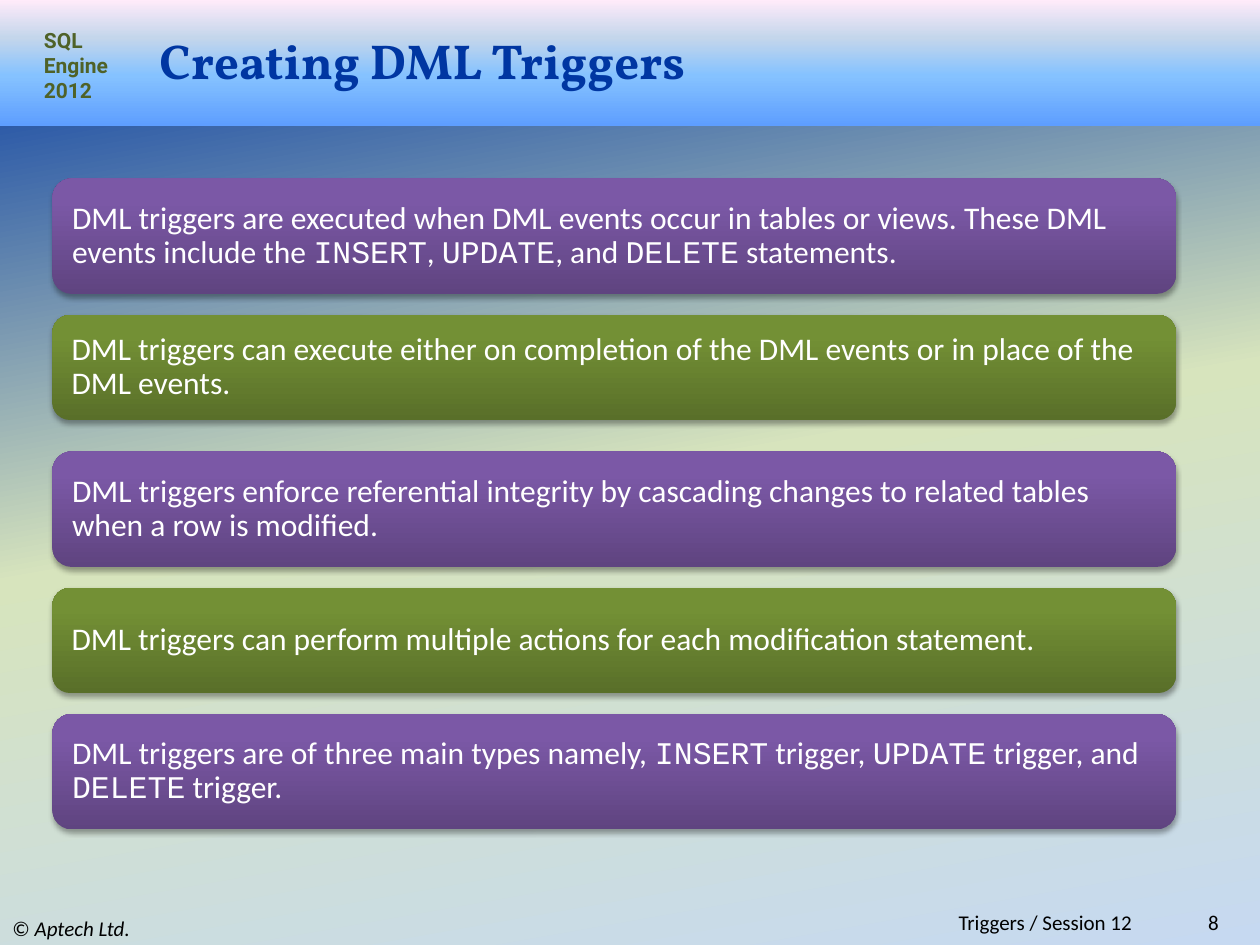
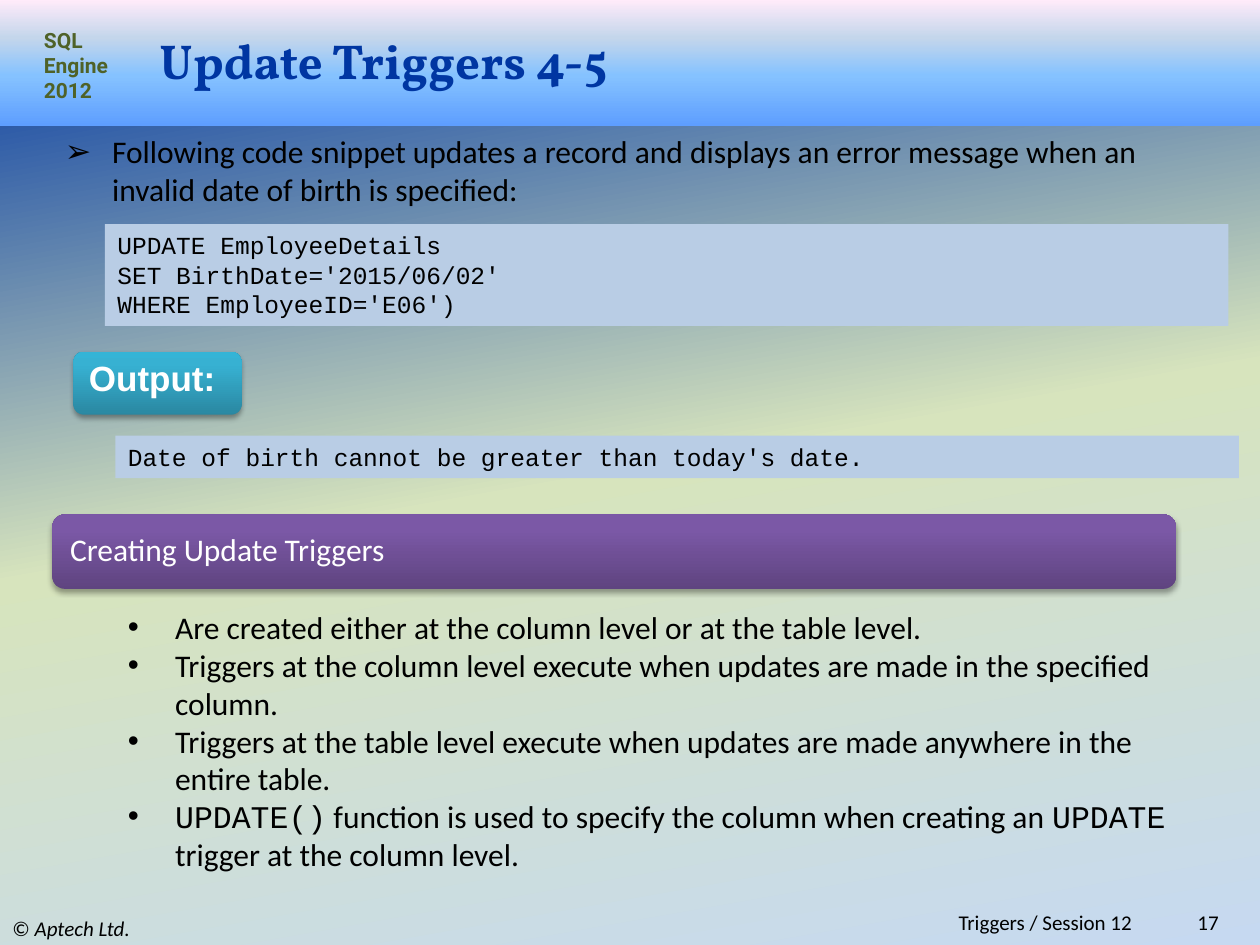
import pptx
import pptx.util
import pptx.dml.color
import pptx.enum.shapes
import pptx.enum.text
import pptx.oxml
import pptx.oxml.ns
from lxml import etree

Pt = pptx.util.Pt
qn = pptx.oxml.ns.qn
SHAPES = pptx.enum.shapes.MSO_SHAPE
ANCHOR = pptx.enum.text.MSO_ANCHOR
ALIGN = pptx.enum.text.PP_ALIGN

# Content: text between backticks takes the alternate run format
COURSE = "SQL Engine 2012"
OWNER = "© `Aptech Ltd.`"
SESSION = "Triggers / Session 12"

CREATING = {
    "title": "Creating DML Triggers",
    "number": "8",
    "cards": [  # top, colour, text
        (102, "purple", "DML triggers are executed when DML events occur in tables or views. "
                        "These DML events include the `INSERT`, `UPDATE`, and `DELETE` statements."),
        (180, "green", "DML triggers can execute either on completion of the DML events "
                       "or in place of the DML events."),
        (258, "purple", "DML triggers enforce referential integrity by cascading changes "
                        "to related tables when a row is modified."),
        (336, "green", "DML triggers can perform multiple actions for each modification statement."),
        (408, "purple", "DML triggers are of three main types namely, `INSERT` trigger, "
                        "`UPDATE` trigger, and `DELETE` trigger."),
    ],
}
UPDATING = {
    "title": "Update Triggers 4-5",
    "number": "17",
    "intro": "Following code snippet updates a record and displays an error message "
             "when an invalid date of birth is specified:",
    "code": ["UPDATE EmployeeDetails", "SET BirthDate='2015/06/02'", "WHERE EmployeeID='E06')"],
    "label": "Output:",
    "output": ["Date of birth cannot be greater than today's date."],
    "heading": "Creating Update Triggers",
    "points": [
        "Are created either at the column level or at the table level.",
        "Triggers at the column level execute when updates are made in the specified column.",
        "Triggers at the table level execute when updates are made anywhere in the entire table.",
        "`UPDATE()` function is used to specify the column when creating an `UPDATE` "
        "trigger at the column level.",
    ],
}

# Shared look
WIDTH, HEIGHT = 720, 540
BAND_HEIGHT = 72
CARD_LEFT, CARD_WIDTH = 30, 642
CARD_HEIGHTS = {"purple": 66, "green": 60}
BLUE, BLACK, WHITE, OLIVE, CODE_FILL = "0036A2", "000000", "FFFFFF", "4F6228", "B9CDE5"
BODY, MONO = "Calibri", "Courier New"
BACKDROP = [(0, BLUE), (50, "D7E4BD"), (100, "C6D9F1")]
BAND = [(0, "5E9EFF"), (40, "85C2FF"), (70, "C4D6EB"), (100, "FFEBFA")]
GLOSS = {
    "purple": [(0, "5F4480"), (80, "7B58A6"), (100, "7C57A8")],
    "green": [(0, "596F29"), (80, "739035"), (100, "749334")],
    "teal": [(0, "2A88A2"), (80, "37B1D2"), (100, "34B4D6")],
}


def colour(value):
    return pptx.dml.color.RGBColor.from_string(value)


def add_gradient(owner, fill, stops, angle=90):
    fill.gradient()
    fill.gradient_angle = angle
    stop_list = next(owner.iter(qn("a:gsLst")))
    for stop in list(stop_list):
        stop_list.remove(stop)
    for position, value in stops:
        stop = etree.SubElement(stop_list, qn("a:gs"), pos=str(position * 1000))
        etree.SubElement(stop, qn("a:srgbClr"), val=value)


def add_bullet(para, mark, margin, hanging=27):
    properties = para._p.get_or_add_pPr()
    properties.set("marL", str(Pt(margin)))
    properties.set("indent", str(-Pt(hanging)))
    etree.SubElement(properties, qn("a:buFont"), typeface="Arial")
    etree.SubElement(properties, qn("a:buChar"), char=mark)


def write(box, lines, size=18, font=BODY, ink=BLACK, bold=False, alternate=MONO,
          align=ALIGN.LEFT, anchor=ANCHOR.TOP, spacing=None, bullet=None, margin=0):
    """Fill a box with lines; alternate is a font name or "italic"."""
    frame = box.text_frame
    frame.word_wrap = True
    frame.vertical_anchor = anchor
    for index, line in enumerate([lines] if isinstance(lines, str) else lines):
        para = frame.add_paragraph() if index else frame.paragraphs[0]
        if bullet:
            add_bullet(para, bullet, margin)
        para.alignment = align
        if spacing:
            para.line_spacing = spacing
        for part, piece in enumerate(line.split("`")):
            if not piece:
                continue
            marked = part % 2 == 1
            italic = marked and alternate == "italic"
            span = para.add_run()
            span.text = piece
            span.font.size = Pt(size)
            span.font.name = alternate if marked and not italic else font
            span.font.bold = bold
            span.font.italic = italic
            span.font.color.rgb = colour(ink)


def add_text(page, left, top, width, height, lines, **style):
    box = page.shapes.add_textbox(Pt(left), Pt(top), Pt(width), Pt(height))
    write(box, lines, **style)


def add_box(page, kind, left, top, width, height, fill):
    """Add an unlined shape; fill is a hex string or a list of gradient stops."""
    box = page.shapes.add_shape(kind, Pt(left), Pt(top), Pt(width), Pt(height))
    if isinstance(fill, str):
        box.fill.solid()
        box.fill.fore_color.rgb = colour(fill)
    else:
        add_gradient(box._element, box.fill, fill)
    box.line.fill.background()
    box.shadow.inherit = False
    return box


def add_glossy(page, left, top, width, height, tone):
    box = add_box(page, SHAPES.ROUNDED_RECTANGLE, left, top, width, height, GLOSS[tone])
    effects = box._element.spPr.find(qn("a:effectLst"))
    shadow = etree.SubElement(effects, qn("a:outerShdw"), blurRad=str(Pt(3.1)),
                              dist=str(Pt(1.8)), dir="5400000", rotWithShape="0")
    shade = etree.SubElement(shadow, qn("a:srgbClr"), val=BLACK)
    etree.SubElement(shade, qn("a:alpha"), val="35000")
    return box


def add_card(page, top, height, tone, text):
    card = add_glossy(page, CARD_LEFT, top, CARD_WIDTH, height, tone)
    card.text_frame.margin_left = card.text_frame.margin_right = Pt(8)
    write(card, text, ink=WHITE, anchor=ANCHOR.MIDDLE, spacing=0.9)


def add_code(page, left, top, height, lines):
    box = add_box(page, SHAPES.RECTANGLE, left, top, CARD_WIDTH, height, CODE_FILL)
    write(box, lines, size=14, font=MONO)


def add_page(deck, content):
    page = deck.slides.add_slide(deck.slide_layouts[6])
    add_gradient(page._element, page.background.fill, BACKDROP, angle=280)
    add_box(page, SHAPES.RECTANGLE, 0, 0, WIDTH, BAND_HEIGHT, BAND)
    add_text(page, 18, 12, 54, 51, COURSE, size=12, font="Roboto", ink=OLIVE, bold=True)
    add_text(page, 84, 18, 600, 32.4, content["title"], size=28, font="Vollkorn", ink=BLUE,
             bold=True, anchor=ANCHOR.MIDDLE)
    # Footer
    footer = {"size": 12, "anchor": ANCHOR.MIDDLE}
    add_text(page, 0, 520.5, 240, 19.5, OWNER, alternate="italic", **footer)
    add_text(page, 180, 520.5, 474, 13, SESSION, align=ALIGN.RIGHT, **footer)
    add_text(page, 642, 520.5, 61.5, 13, content["number"], align=ALIGN.RIGHT, **footer)
    return page


def build_creating(deck):
    page = add_page(deck, CREATING)
    for top, tone, text in CREATING["cards"]:
        add_card(page, top, CARD_HEIGHTS[tone], tone, text)


def build_updating(deck):
    page = add_page(deck, UPDATING)
    add_text(page, CARD_LEFT, BAND_HEIGHT, 648, 51, UPDATING["intro"], bullet="➢", margin=27)
    # Snippet and its output
    add_code(page, 60, 128, 58.2, UPDATING["code"])
    label = add_glossy(page, 42, 201, 96, 36, "teal")
    write(label, UPDATING["label"], size=20, font="Arial", ink=WHITE, bold=True,
          anchor=ANCHOR.MIDDLE, spacing=0.7)
    add_code(page, 66, 249, 24.3, UPDATING["output"])
    # Summary
    add_card(page, 294, 42.5, "purple", UPDATING["heading"])
    add_text(page, CARD_LEFT, 344, 648, 160, UPDATING["points"], bullet="•", margin=63)


def main():
    deck = pptx.Presentation()
    deck.slide_width, deck.slide_height = Pt(WIDTH), Pt(HEIGHT)
    build_creating(deck)
    build_updating(deck)
    deck.save("out.pptx")


if __name__ == "__main__":
    main()
